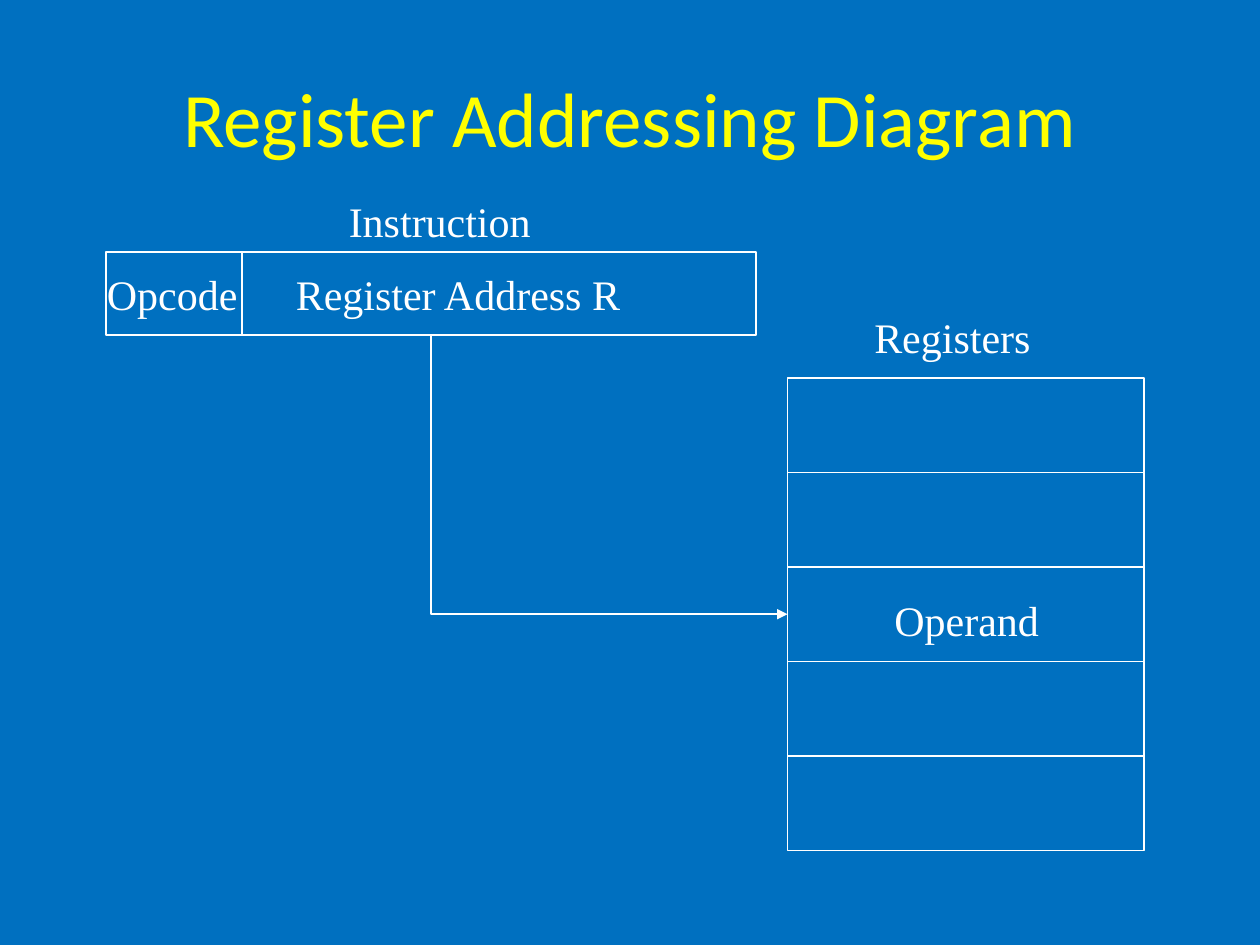
from lxml import etree
from pptx import Presentation
from pptx.dml.color import RGBColor
from pptx.enum.shapes import MSO_CONNECTOR, MSO_SHAPE
from pptx.enum.text import MSO_ANCHOR, MSO_AUTO_SIZE, PP_ALIGN
from pptx.oxml.ns import qn
from pptx.util import Inches, Pt

RECTANGLE = MSO_SHAPE.RECTANGLE
STRAIGHT = MSO_CONNECTOR.STRAIGHT
MIDDLE = MSO_ANCHOR.MIDDLE
CENTER = PP_ALIGN.CENTER
FIT_SHAPE = MSO_AUTO_SIZE.SHAPE_TO_FIT_TEXT
NO_FIT = MSO_AUTO_SIZE.NONE

BLUE, WHITE, YELLOW = "0070C0", "FFFFFF", "FFFF00"
TITLE_ONLY = 5

# Instruction word: left, top, width, height, and the opcode divider
WORD_LEFT, WORD_TOP, WORD_WIDTH, WORD_HEIGHT = 0.84, 2, 5.16, 0.66
DIVIDER_X = 1.92

# Register file: one column of equal rows
REGISTER_LEFT, REGISTER_TOP, REGISTER_WIDTH, ROW_HEIGHT = 6.25, 3, 2.83, 0.75
ROW_COUNT, OPERAND_ROW = 5, 2

# Labels: text, left, top, width (each a little wider than its text)
LABEL_HEIGHT = 0.5
LABELS = [
    ("Register Address R", 2.25, 2.08, 2.8),
    ("Opcode", 0.75, 2.08, 1.25),
    ("Instruction", 2.67, 1.5, 1.67),
    ("Registers", 6.84, 2.42, 1.45),
    ("Operand", 7, 4.67, 1.36),
]


def color(hex_string):
    return RGBColor.from_string(hex_string)


def inches(*lengths):
    return [Inches(length) for length in lengths]


def add_span(para, text, font_name, size, hex_string):
    span = para.add_run()
    span.text = text
    span.font.name = font_name
    span.font.size = Pt(size)
    span.font.color.rgb = color(hex_string)


def style_line(line):
    line.color.rgb = color(WHITE)
    line.width = Pt(1)


def style_outline(shape):
    shape.shadow.inherit = False
    shape.fill.background()
    style_line(shape.line)


def set_title(page, text):
    title = page.shapes.title
    title.left, title.top, title.width, title.height = inches(0.5, 0.3, 9, 1.25)
    frame = title.text_frame
    frame.auto_size = NO_FIT
    frame.vertical_anchor = MIDDLE
    para = frame.paragraphs[0]
    para.alignment = CENTER
    add_span(para, text, "Calibri", 44, YELLOW)


def add_cell(shapes, left, top, width, height):
    cell = shapes.add_shape(RECTANGLE, *inches(left, top, width, height))
    style_outline(cell)


def add_divider(shapes, x, top, bottom):
    divider = shapes.add_connector(STRAIGHT, *inches(x, top, x, bottom))
    style_line(divider.line)
    etree.SubElement(divider._element.spPr, qn("a:effectLst"))


def add_label(page, text, left, top, width):
    box = page.shapes.add_textbox(*inches(left, top, width, LABEL_HEIGHT))
    frame = box.text_frame
    frame.word_wrap = False
    frame.auto_size = FIT_SHAPE
    add_span(frame.paragraphs[0], text, "Times New Roman", 24, WHITE)


def add_bent_arrow(page, start, corner, end):
    builder = page.shapes.build_freeform(*inches(*start), scale=1.0)
    builder.add_line_segments([inches(*corner), inches(*end)], close=False)
    arrow = builder.convert_to_shape()
    style_outline(arrow)
    etree.SubElement(arrow.line._get_or_add_ln(), qn("a:tailEnd"), type="triangle")


def main():
    deck = Presentation()
    deck.slide_width, deck.slide_height = inches(10, 7.5)
    page = deck.slides.add_slide(deck.slide_layouts[TITLE_ONLY])
    page.background.fill.solid()
    page.background.fill.fore_color.rgb = color(BLUE)
    set_title(page, "Register Addressing Diagram")

    # Instruction word, split into opcode and address
    word = page.shapes.add_group_shape()
    word_bottom = WORD_TOP + WORD_HEIGHT
    add_cell(word.shapes, WORD_LEFT, WORD_TOP, WORD_WIDTH, WORD_HEIGHT)
    add_divider(word.shapes, DIVIDER_X, WORD_TOP, word_bottom)

    # Registers
    for row in range(ROW_COUNT):
        top = REGISTER_TOP + row * ROW_HEIGHT
        add_cell(page.shapes, REGISTER_LEFT, top, REGISTER_WIDTH, ROW_HEIGHT)

    for label in LABELS:
        add_label(page, *label)

    # Arrow from the middle of the word to the operand's register
    arrow_x = WORD_LEFT + WORD_WIDTH / 2
    operand_y = REGISTER_TOP + (OPERAND_ROW + 0.5) * ROW_HEIGHT
    add_bent_arrow(page, (arrow_x, word_bottom), (arrow_x, operand_y),
                   (REGISTER_LEFT, operand_y))

    deck.save("out.pptx")


if __name__ == "__main__":
    main()
